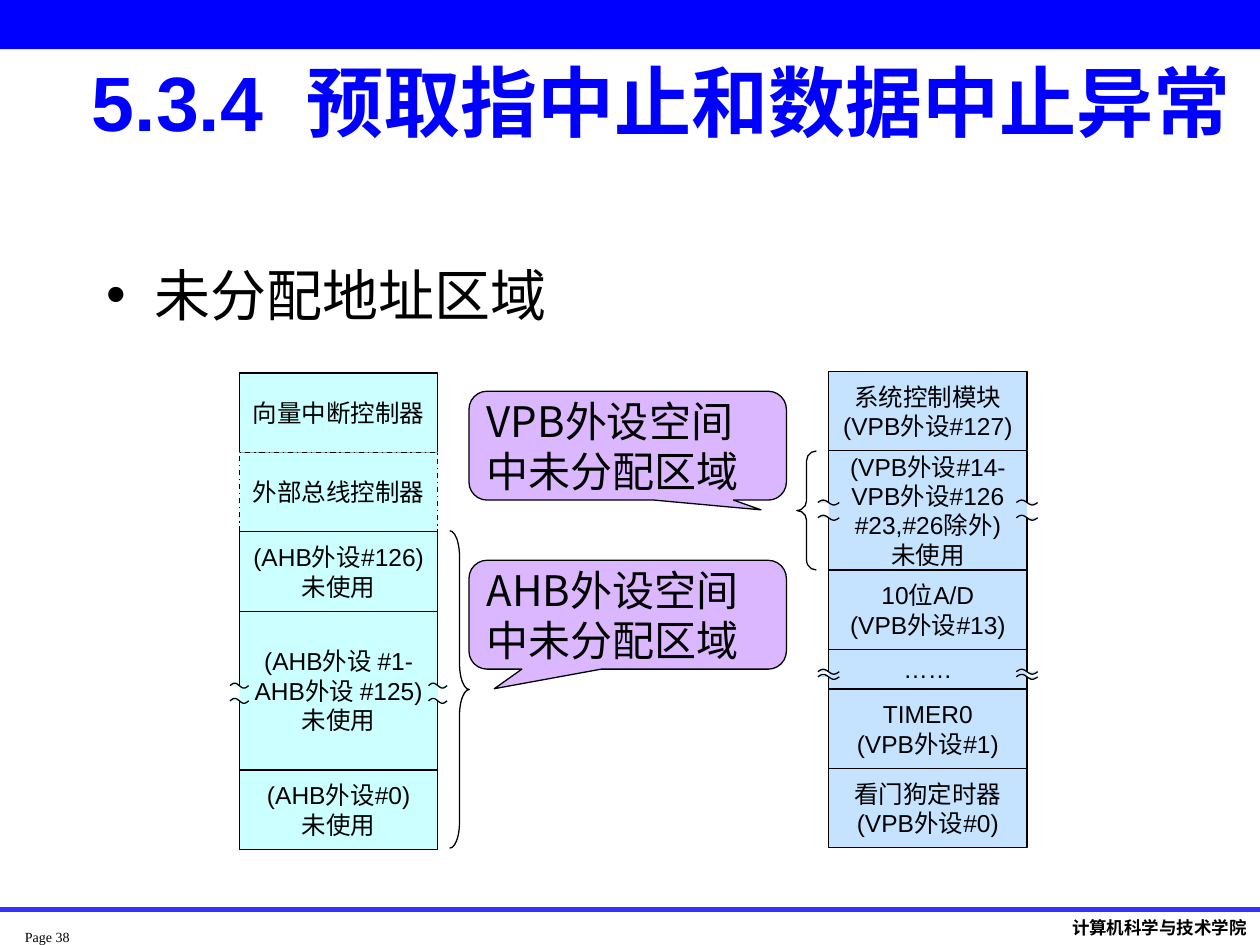
from dataclasses import dataclass
from math import pi, sin

from lxml import etree
from pptx import Presentation
from pptx.dml.color import RGBColor
from pptx.enum.dml import MSO_LINE
from pptx.enum.shapes import MSO_CONNECTOR, MSO_SHAPE
from pptx.enum.text import MSO_ANCHOR, PP_ALIGN
from pptx.oxml.ns import qn
from pptx.util import Pt

RECT = MSO_SHAPE.RECTANGLE
CALL = MSO_SHAPE.ROUNDED_RECTANGULAR_CALLOUT
LEFT_BRACE, RIGHT_BRACE = MSO_SHAPE.LEFT_BRACE, MSO_SHAPE.RIGHT_BRACE
STRAIGHT = MSO_CONNECTOR.STRAIGHT
DASH = MSO_LINE.DASH_DOT
MIDDLE, TOP = MSO_ANCHOR.MIDDLE, MSO_ANCHOR.TOP
LEFT, CENTER = PP_ALIGN.LEFT, PP_ALIGN.CENTER


@dataclass(frozen=True)
class Theme:
    """Colours, fonts and sizes of the slide."""
    ink: str = "000000"
    blue: str = "0000FF"
    rule: str = "3333FF"
    aqua: str = "CCFFFF"
    sky: str = "C5E2FF"
    lilac: str = "DBB7FF"
    sans: str = "Arial"
    serif: str = "Times New Roman"
    foot: str = "Karla"
    cjk: str = "Noto Sans CJK JP"
    title: int = 44
    body: int = 32
    note: int = 24
    cell: int = 14
    school: int = 10
    page: int = 8
    thin: float = 0.75
    thick: float = 3


THEME = Theme()
UNIT = 45.36
AHB = [
    ("向量中断控制器", 1, None, False),
    ("外部总线控制器", 1, None, True),
    ("(AHB外设#126)\n未使用", 1, None, False),
    ("(AHB外设 #1-\nAHB外设 #125)\n未使用", 2, (42.5, 51.2), False),
    ("(AHB外设#0)\n未使用", 1, None, False),
]
VPB = [
    ("系统控制模块\n(VPB外设#127)", 1, None, False),
    ("(VPB外设#14-\nVPB外设#126\n#23,#26除外)\n未使用", 1.5, (29.5, 38.2), False),
    ("10位A/D\n(VPB外设#13)", 1, None, False),
    ("……", 0.5, (12.8, 15.7), False),
    ("TIMER0\n(VPB外设#1)", 1, None, False),
    ("看门狗定时器\n(VPB外设#0)", 1, None, False),
]


def paint(shape, fill=None, line=None):
    """Set the fill and outline of a shape, or clear them."""
    shape.shadow.inherit = False
    if fill:
        shape.fill.solid()
        shape.fill.fore_color.rgb = RGBColor.from_string(fill)
    else:
        shape.fill.background()
    if line:
        shape.line.color.rgb = RGBColor.from_string(line)
        shape.line.width = Pt(THEME.thin)
    else:
        shape.line.fill.background()


def write(shape, text, size, font=THEME.sans, color=THEME.ink, bold=False,
          align=LEFT, anchor=MIDDLE, wrap=True, pad=(7.2, 3.6)):
    """Fill a shape with styled text."""
    frame = shape.text_frame
    frame.word_wrap, frame.vertical_anchor = wrap, anchor
    frame.margin_left = frame.margin_right = Pt(pad[0])
    frame.margin_top = frame.margin_bottom = Pt(pad[1])
    frame.text = text
    for para in frame.paragraphs:
        para.alignment = align
        for run in para.runs:
            run.font.size, run.font.name, run.font.bold = Pt(size), font, bold
            run.font.color.rgb = RGBColor.from_string(color)


def block(slide, kind, box, fill=None, line=None):
    """Add a painted preset shape."""
    shape = slide.shapes.add_shape(kind, *map(Pt, box))
    paint(shape, fill, line)
    return shape


def label(slide, box, text, size, **style):
    """Add a text box."""
    shape = slide.shapes.add_textbox(*map(Pt, box))
    write(shape, text, size, **style)
    return shape


def stroke(slide, ends, color=THEME.ink, width=THEME.thin):
    """Add a straight line without a shadow."""
    line = slide.shapes.add_connector(STRAIGHT, *map(Pt, ends))
    line.line.color.rgb = RGBColor.from_string(color)
    line.line.width = Pt(width)
    etree.SubElement(line._element.spPr, qn("a:effectLst"))


def wave(slide, mid, y, span, fill):
    """Add a small break mark centred on a column edge."""
    steps = 16
    dots = [(Pt(mid + span * (i / steps - 0.5)),
             Pt(y - 1.4 * sin(2 * pi * i / steps))) for i in range(steps + 1)]
    path = slide.shapes.build_freeform(*dots[0])
    path.add_line_segments(dots[1:], close=False)
    paint(path.convert_to_shape(), fill, THEME.ink)


def split(slide, box, cuts, span, fill):
    """Draw the broken sides of a cell."""
    x, y, wide, high = box
    for side in (x, x + wide):
        stroke(slide, (side, y, side, y + cuts[0]))
        stroke(slide, (side, y + cuts[1], side, y + high))
        for cut in cuts:
            wave(slide, side, y + cut, span, fill)


def stack(slide, box, cells, fill, span):
    """Draw a memory map as a column of cells."""
    x, y, wide = box
    spots = []
    for text, units, cuts, dash in cells:
        spots.append(((x, y, wide, units * UNIT), text, cuts, dash))
        y += units * UNIT
    for spot, text, cuts, dash in sorted(spots, key=lambda s: not s[2]):
        cell = block(slide, RECT, spot, fill, None if cuts else THEME.ink)
        write(cell, text, THEME.cell, align=CENTER, wrap=False)
        if dash:
            cell.line.dash_style = DASH
    for spot, _, cuts, _ in spots:
        if cuts:
            split(slide, spot, cuts, span, fill)


def brace(slide, kind, box, curve):
    """Draw a brace beside a column."""
    shape = block(slide, kind, box, line=THEME.ink)
    shape.adjustments[0] = curve


def bubble(slide, box, text, tip):
    """Draw a callout with its tip at the given offset."""
    shape = block(slide, CALL, box, THEME.lilac, THEME.ink)
    shape.adjustments[0], shape.adjustments[1] = tip
    write(shape, text, THEME.note, font=THEME.cjk)


def bullet(slide, box, text):
    """Add a single bulleted line."""
    para = label(slide, box, text, THEME.body, anchor=TOP).text_frame.paragraphs[0]
    props = para._p.get_or_add_pPr()
    props.set("marL", str(Pt(27)))
    props.set("indent", str(Pt(-27)))
    etree.SubElement(props, qn("a:buFont"), typeface=THEME.sans)
    etree.SubElement(props, qn("a:buChar"), char="•")


def frame(slide, box):
    """Draw the top band, the footer rule and the footer texts."""
    x, y, wide, high = box
    block(slide, RECT, (x, y, wide, 28.1), THEME.blue)
    base = y + high - 20.2
    stroke(slide, (x, base, x + wide, base), THEME.rule, THEME.thick)
    label(slide, (x + 14.2, base + 10.8, 45.4, 19.4), "Page 38", THEME.page,
          font=THEME.serif, anchor=TOP, pad=(0, 0))
    label(slide, (x + wide - 114.5, base + 0.8, 114.5, 19.4), "计算机科学与技术学院",
          THEME.school, font=THEME.foot, bold=True, anchor=TOP, wrap=False)


def main():
    """Build the slide and save it."""
    deck = Presentation()
    deck.slide_width, deck.slide_height = Pt(720), Pt(540)
    slide = deck.slides.add_slide(deck.slide_layouts[6])
    frame(slide, (0, 0, 720, 540))
    label(slide, (36, 31.7, 684, 51.1), "5.3.4  预取指中止和数据中止异常",
          THEME.title, color=THEME.blue, bold=True, align=CENTER)
    stack(slide, (136.8, 213.2, 113.4), AHB, THEME.aqua, 10.6)
    stack(slide, (473.5, 212.3, 113.4), VPB, THEME.sky, 12.2)
    brace(slide, RIGHT_BRACE, (257, 303.3, 11.2, 181.4), 1.33)
    brace(slide, LEFT_BRACE, (455.3, 257.7, 11.2, 68), 0.5)
    bubble(slide, (268, 320.2, 181.4, 62.2), "AHB外设空间中未分配区域", (-0.42, 0.68))
    bubble(slide, (268, 223.6, 181.4, 62.2), "VPB外设空间中未分配区域", (0.42, 0.59))
    bullet(slide, (54, 145.4, 612, 57.6), "未分配地址区域")
    deck.save("out.pptx")


if __name__ == "__main__":
    main()
